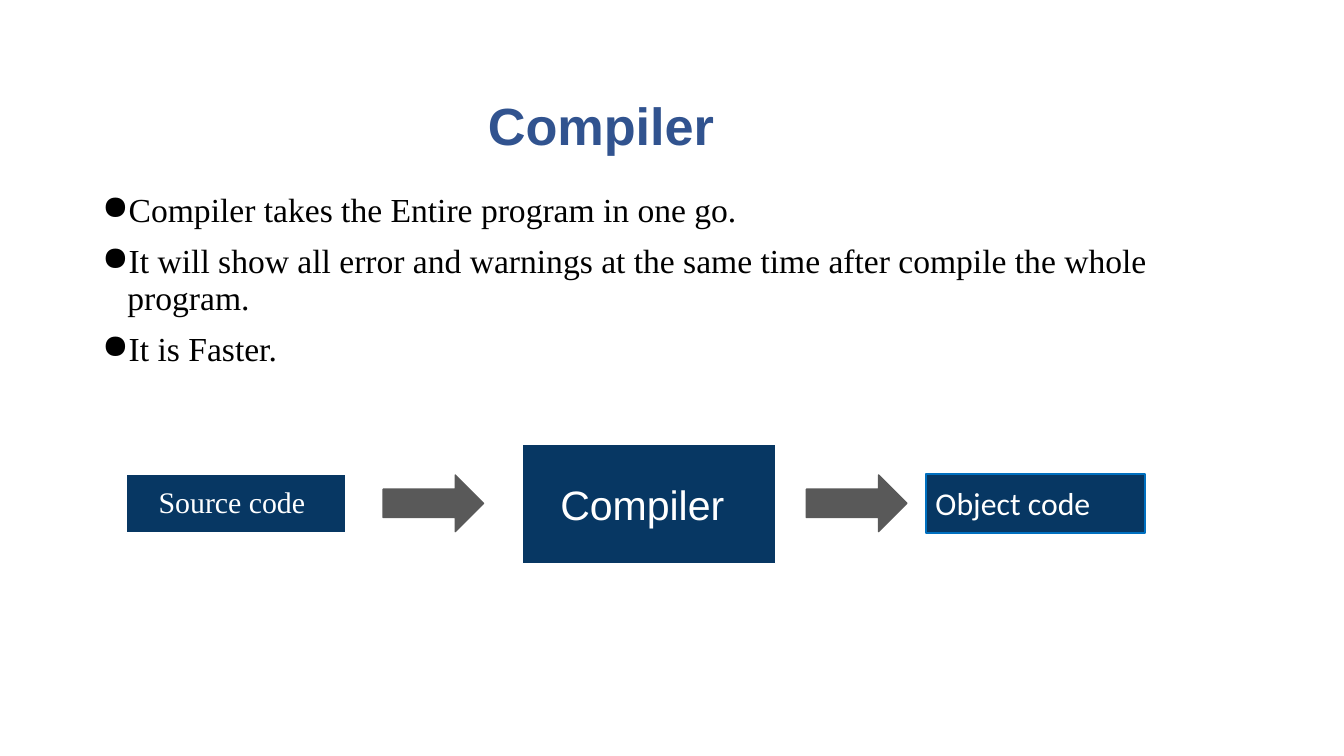
import pptx
import pptx.util
import pptx.dml.color
import pptx.enum.shapes
import pptx.enum.text
import pptx.oxml.ns
import lxml.etree

Cm = pptx.util.Cm
Pt = pptx.util.Pt
Kind = pptx.enum.shapes.MSO_SHAPE
Anchor = pptx.enum.text.MSO_ANCHOR
Align = pptx.enum.text.PP_ALIGN

NAVY = "073763"
GREY = "595959"
WHITE = "FFFFFF"


def tint(code):
    return pptx.dml.color.RGBColor.from_string(code)


def write(para, text, font, size, color, bold=False):
    run = para.add_run()
    run.text = text
    run.font.name = font
    run.font.size = Pt(size)
    run.font.color.rgb = tint(color)
    run.font.bold = bold


def frame(shape, anchor, left, pad):
    body = shape.text_frame
    body.word_wrap = True
    body.vertical_anchor = anchor
    body.margin_left = Cm(left)
    body.margin_right = Cm(0.18)
    body.margin_top = body.margin_bottom = Cm(pad)
    return body


def block(slide, kind, box, fill, line):
    shape = slide.shapes.add_shape(kind, *map(Cm, box))
    shape.shadow.inherit = False
    shape.fill.solid()
    shape.fill.fore_color.rgb = tint(fill)
    shape.line.color.rgb = tint(line)
    shape.line.width = Pt(0.75)
    return shape


def bullet(para):
    props = para._p.get_or_add_pPr()
    props.set("marL", str(Cm(0.48)))
    props.set("indent", str(-Cm(0.48)))
    qn = pptx.oxml.ns.qn
    color = lxml.etree.SubElement(props, qn("a:buClr"))
    lxml.etree.SubElement(color, qn("a:srgbClr"), val="000000")
    lxml.etree.SubElement(props, qn("a:buChar"), char="●")


def title(slide, box):
    shape = slide.shapes.add_textbox(*map(Cm, box))
    para = frame(shape, Anchor.MIDDLE, 7.82, 0.1).paragraphs[0]
    para.line_spacing = 0.9
    write(para, "Compiler", "Arial", 28, "31538F", True)


def points(slide, box, lines):
    shape = slide.shapes.add_textbox(*map(Cm, box))
    body = frame(shape, Anchor.TOP, 0.18, 0.1)
    for num, text in enumerate(lines):
        para = body.add_paragraph() if num else body.paragraphs[0]
        para.line_spacing = 0.9
        para.space_before = Pt(8 if num else 0)
        bullet(para)
        write(para, text, "Times New Roman", 18, "000000")


def flow(slide, box):
    left, top, width, height = box
    mid = top + height / 2
    end = 4.14
    stages = [
        (0, end, 1.12, WHITE, Anchor.TOP, 0.61, "Source code", "Times New Roman", 16),
        (7.49, 4.78, height, WHITE, Anchor.MIDDLE, 0.71, "Compiler", "Arial", 22),
        (width - end, end, 1.12, "0070C0", Anchor.TOP, 0.18, "Object code", "Calibri", 17),
    ]
    for x, wide, tall, line, anchor, pad, text, font, size in stages:
        area = (left + x, mid - tall / 2, wide, tall)
        shape = block(slide, Kind.RECTANGLE, area, NAVY, line)
        para = frame(shape, anchor, pad, 0.18).paragraphs[0]
        para.alignment = Align.LEFT
        write(para, text, font, size, WHITE)
    for x in (4.85, 12.85):
        area = (left + x, mid - 0.54, 1.9, 1.07)
        block(slide, Kind.RIGHT_ARROW, area, GREY, GREY)


def main():
    deck = pptx.Presentation()
    deck.slide_width = Cm(25.4)
    deck.slide_height = Cm(14.29)
    slide = deck.slides.add_slide(deck.slide_layouts[6])
    title(slide, (1.4, 1.04, 21.89, 2.77))
    points(slide, (1.75, 3.56, 21.89, 9.63), [
        "Compiler takes the Entire program in one go.",
        "It will show all error and warnings at the same time after compile the whole program.",
        "It is Faster.",
    ])
    flow(slide, (2.39, 8.39, 19.25, 2.26))
    deck.save("out.pptx")


if __name__ == "__main__":
    main()
